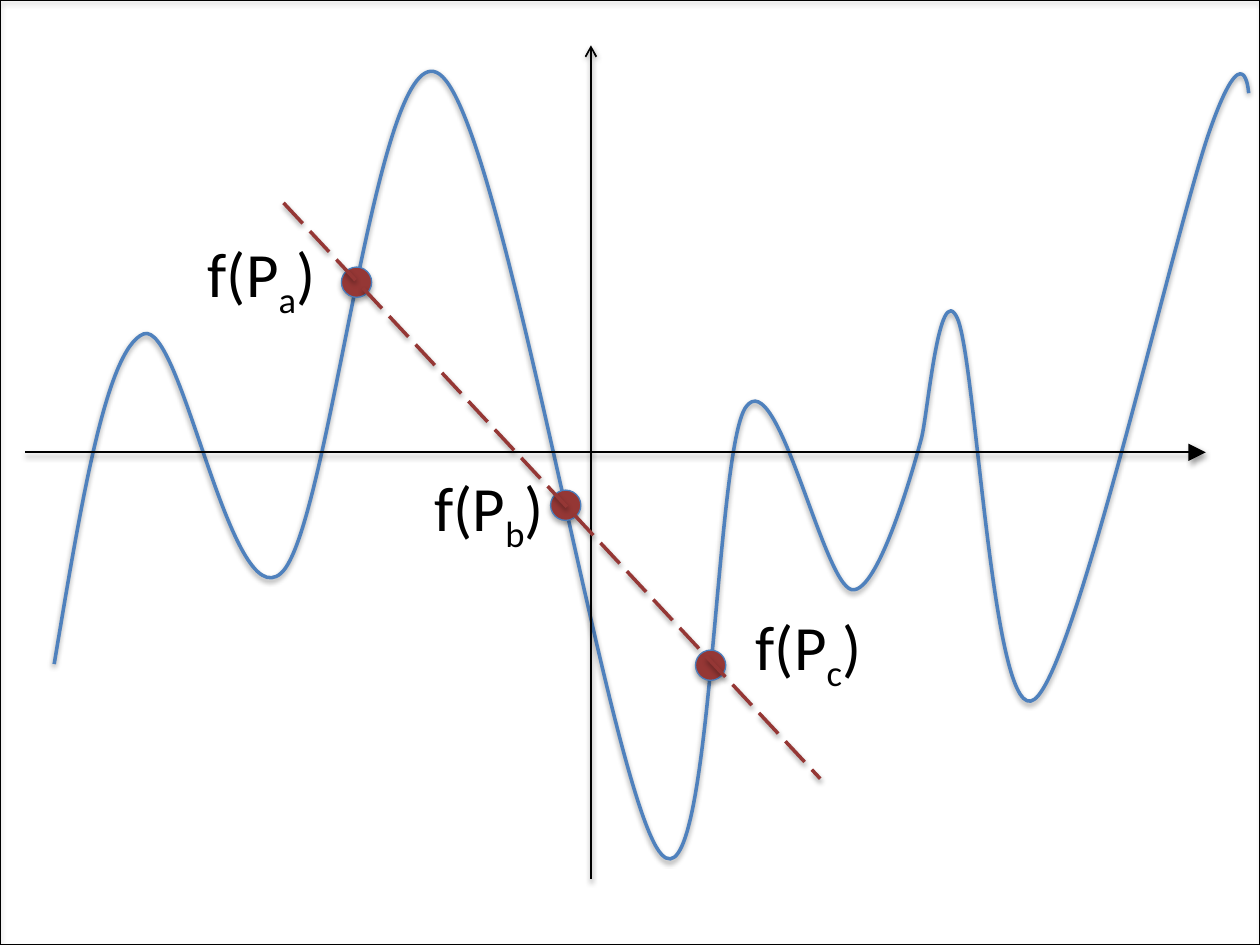
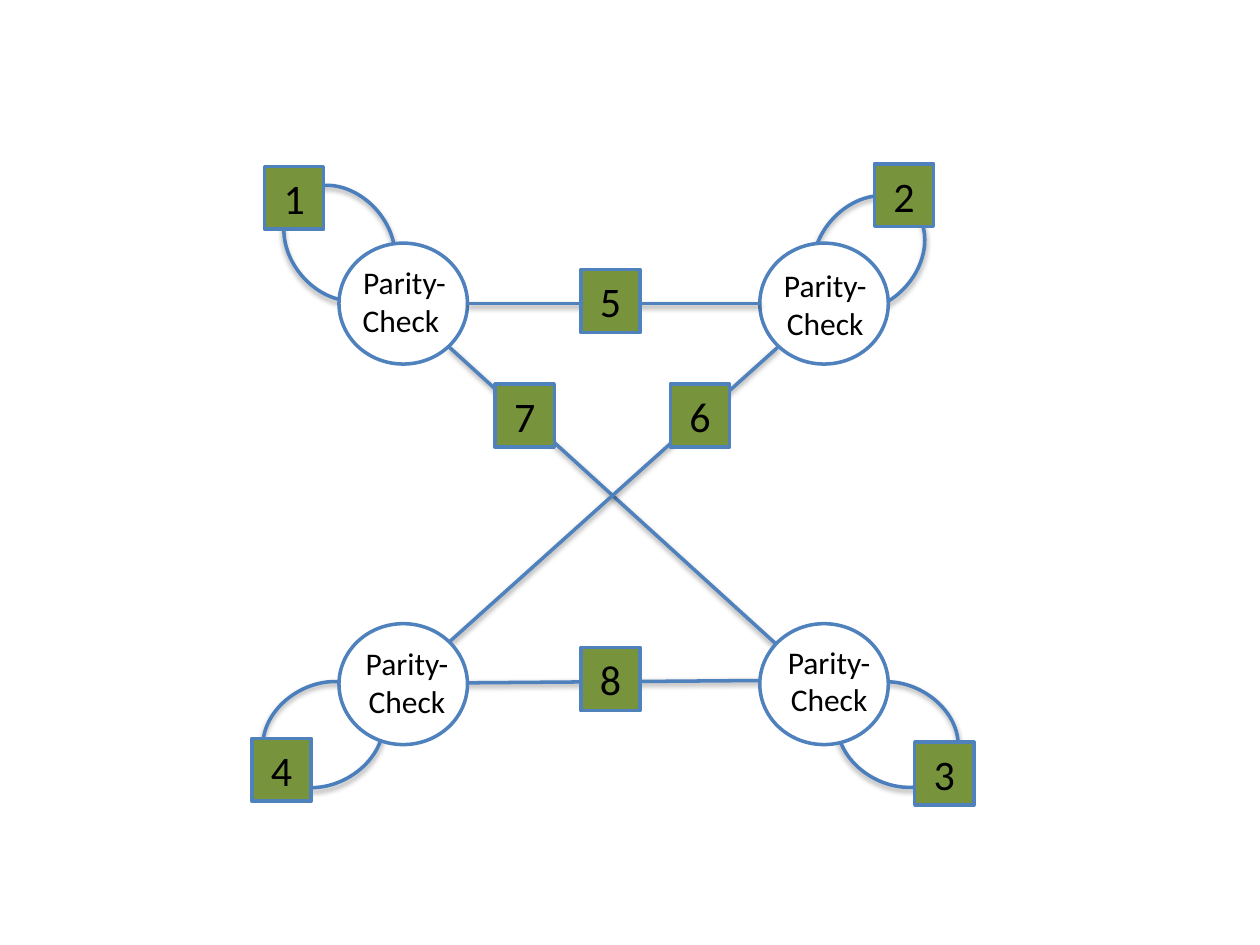
"""Build a slide with a curve crossed by a dashed line and a slide with a parity-check graph."""
from lxml import etree
from pptx import Presentation
from pptx import util as u
from pptx.dml.color import RGBColor
from pptx.enum import dml, shapes, text
from pptx.oxml import ns

PX = 9144
FONT = "Calibri"
BLACK, WHITE, BLUE, OUTLINE = "000000", "FFFFFF", "4F81BD", "4B7EBC"
RED, GREEN = "953735", "77933C"
LINE_SHADOW = (38, 20000)
SHAPE_SHADOW = (35, 23000)


def px(*lengths):
    return [u.Emu(round(n * PX)) for n in lengths]


def color(code):
    return RGBColor.from_string(code)


def add_node(parent, tag, **attrs):
    return etree.SubElement(parent, ns.qn(tag), attrs)


def add_text(p, words, size=18, fill=BLACK, base=0):
    r = p.add_run()
    r.text = words
    r.font.name, r.font.size = FONT, u.Pt(size)
    r.font.color.rgb = color(fill)
    if base:
        r._r.get_or_add_rPr().set("baseline", str(base * 1000))


class Deck:
    def __init__(self, width, height):
        self.prs = Presentation()
        self.prs.slide_width, self.prs.slide_height = px(width, height)
        self.s = None

    def slide(self):
        self.s = self.prs.slides.add_slide(self.prs.slide_layouts[6])

    def style(self, sp, line, weight, shadow):
        sp.line.color.rgb, sp.line.width = color(line), u.Pt(weight)
        effects = add_node(sp._element.spPr, "a:effectLst")
        if shadow:
            alpha, dist = shadow
            shade = add_node(effects, "a:outerShdw", blurRad="40000", dist=str(dist),
                             dir="5400000", rotWithShape="0")
            black = add_node(shade, "a:srgbClr", val=BLACK)
            add_node(black, "a:alpha", val=str(alpha * 1000))

    def line(self, start, end, fill=BLUE, weight=2, dash=None, arrow=None):
        sp = self.s.shapes.add_connector(shapes.MSO_CONNECTOR.STRAIGHT, *px(*start, *end))
        self.style(sp, fill, weight, LINE_SHADOW)
        if dash:
            sp.line.dash_style = dash
        if arrow:
            tag, kind, size = arrow
            add_node(sp.line._get_or_add_ln(), tag, type=kind, w=size, len=size)

    def curve(self, box, points):
        left, top, width, height = box
        anchors = [px(*point) for point in points[::3]]
        builder = self.s.shapes.build_freeform(*anchors[0], scale=1.0)
        builder.add_line_segments(anchors[1:], close=False)
        sp = builder.convert_to_shape()
        sp.left, sp.top, sp.width, sp.height = px(*box)
        outline = sp._element.find(".//" + ns.qn("a:path"))
        for node in list(outline):
            outline.remove(node)
        outline.set("w", str(width * PX))
        outline.set("h", str(height * PX))
        steps = [("a:moveTo", points[:1])]
        steps += [("a:cubicBezTo", points[i:i + 3]) for i in range(1, len(points), 3)]
        for tag, group in steps:
            step = add_node(outline, tag)
            for x, y in group:
                add_node(step, "a:pt", x=str((x - left) * PX), y=str((y - top) * PX))
        sp.fill.background()
        self.style(sp, BLUE, 2, LINE_SHADOW)

    def shape(self, kind, box, fill=None, line=BLUE, weight=2, shadow=None, turn=0):
        sp = self.s.shapes.add_shape(kind, *px(*box))
        if fill:
            sp.fill.solid()
            sp.fill.fore_color.rgb = color(fill)
        else:
            sp.fill.background()
        self.style(sp, line, weight, shadow)
        sp.rotation = turn
        return sp

    def rect(self, box, **format):
        return self.shape(shapes.MSO_SHAPE.RECTANGLE, box, **format)

    def oval(self, box, **format):
        return self.shape(shapes.MSO_SHAPE.OVAL, box, **format)

    def text_box(self, box):
        tf = self.s.shapes.add_textbox(*px(*box)).text_frame
        tf.word_wrap = False
        tf.auto_size = text.MSO_AUTO_SIZE.SHAPE_TO_FIT_TEXT
        return tf

    def point_label(self, box, index):
        p = self.text_box(box).paragraphs[0]
        add_text(p, "f(P", size=36)
        add_text(p, index, size=36, base=-25)
        add_text(p, ")", size=36)

    def check_node(self, left, top, label_left, label_top, words):
        self.oval((left, top, 102, 96), fill=WHITE)
        tf = self.text_box((label_left, label_top, 88, 71))
        for i, word in enumerate(words):
            p = tf.add_paragraph() if i else tf.paragraphs[0]
            p.alignment = text.PP_ALIGN.CENTER
            add_text(p, word)

    def variable_node(self, number, left, top):
        tf = self.rect((left, top, 47, 50), fill=GREEN).text_frame
        tf.auto_size = text.MSO_AUTO_SIZE.SHAPE_TO_FIT_TEXT
        tf.vertical_anchor = text.MSO_ANCHOR.MIDDLE
        p = tf.paragraphs[0]
        p.alignment = text.PP_ALIGN.CENTER
        add_text(p, str(number), size=24)


def curve_slide(deck):
    deck.slide()
    deck.curve((43, 57, 948, 625), [
        (43, 527), (64, 402), (84, 277), (114, 265),
        (144, 254), (183, 490), (223, 455),
        (262, 421), (299, 22), (349, 59),
        (400, 96), (484, 634), (525, 678),
        (565, 722), (567, 358), (592, 323),
        (617, 288), (653, 463), (676, 468),
        (699, 472), (731, 349), (731, 349),
        (736, 333), (745, 219), (760, 253),
        (775, 288), (788, 580), (821, 555),
        (854, 531), (932, 184), (960, 104),
        (988, 24), (991, 74), (991, 74)])
    deck.line((20, 359), (957, 359), fill=BLACK, weight=1, arrow=("a:tailEnd", "triangle", "lg"))
    deck.line((469, 36), (469, 698), fill=BLACK, weight=1, arrow=("a:headEnd", "arrow", "med"))
    for left, top in ((271, 212), (437, 389), (552, 516)):
        deck.oval((left, top, 24, 24), fill=RED, line=OUTLINE, weight=0.75, shadow=SHAPE_SHADOW)
    deck.line((225, 161), (651, 618), fill=RED, dash=dml.MSO_LINE.LONG_DASH)
    for index, left, top, width in (("a", 155, 181, 108), ("b", 335, 367, 110),
                                    ("c", 590, 477, 107)):
        deck.point_label((left, top, width, 71), index)
    deck.rect((0, 0, 1000, 750), line=BLACK, weight=0.75, shadow=SHAPE_SHADOW)


def graph_slide(deck):
    deck.slide()
    for start, end in (((367, 542), (614, 540)), ((356, 275), (618, 513)),
                       ((356, 510), (618, 275))):
        deck.line(start, end)
    for left, top, turn in ((673, 533, 297.2), (217, 533, 61.6),
                            (650, 151, 41.4), (230, 143, 319.8)):
        deck.oval((left, top, 79, 100), line=OUTLINE, shadow=SHAPE_SHADOW, turn=turn)
    for left, top, label_left, label_top, last in (
            (269, 193, 277, 204, "Check "), (603, 495, 614, 505, "Check"),
            (269, 495, 279, 506, "Check"), (603, 193, 611, 206, "Check")):
        deck.check_node(left, top, label_left, label_top, ("Parity-", last))
    deck.line((371, 241), (603, 241))
    for number, left, top in ((6, 532, 305), (5, 461, 214), (7, 393, 305), (1, 210, 132),
                              (3, 726, 589), (2, 694, 130), (4, 200, 586), (8, 461, 514)):
        deck.variable_node(number, left, top)


def main():
    deck = Deck(1000, 750)
    curve_slide(deck)
    graph_slide(deck)
    deck.prs.save("out.pptx")


if __name__ == "__main__":
    main()
